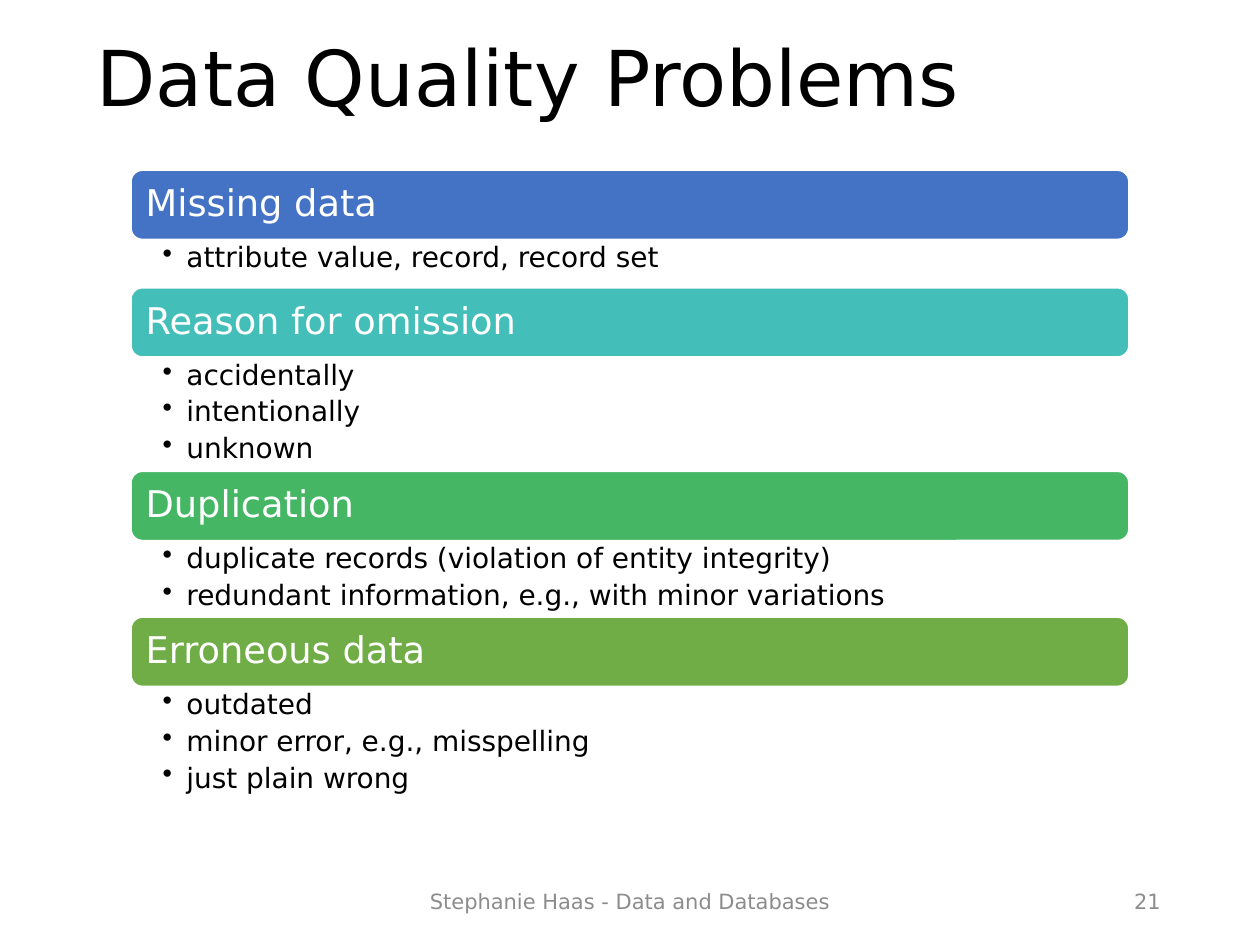
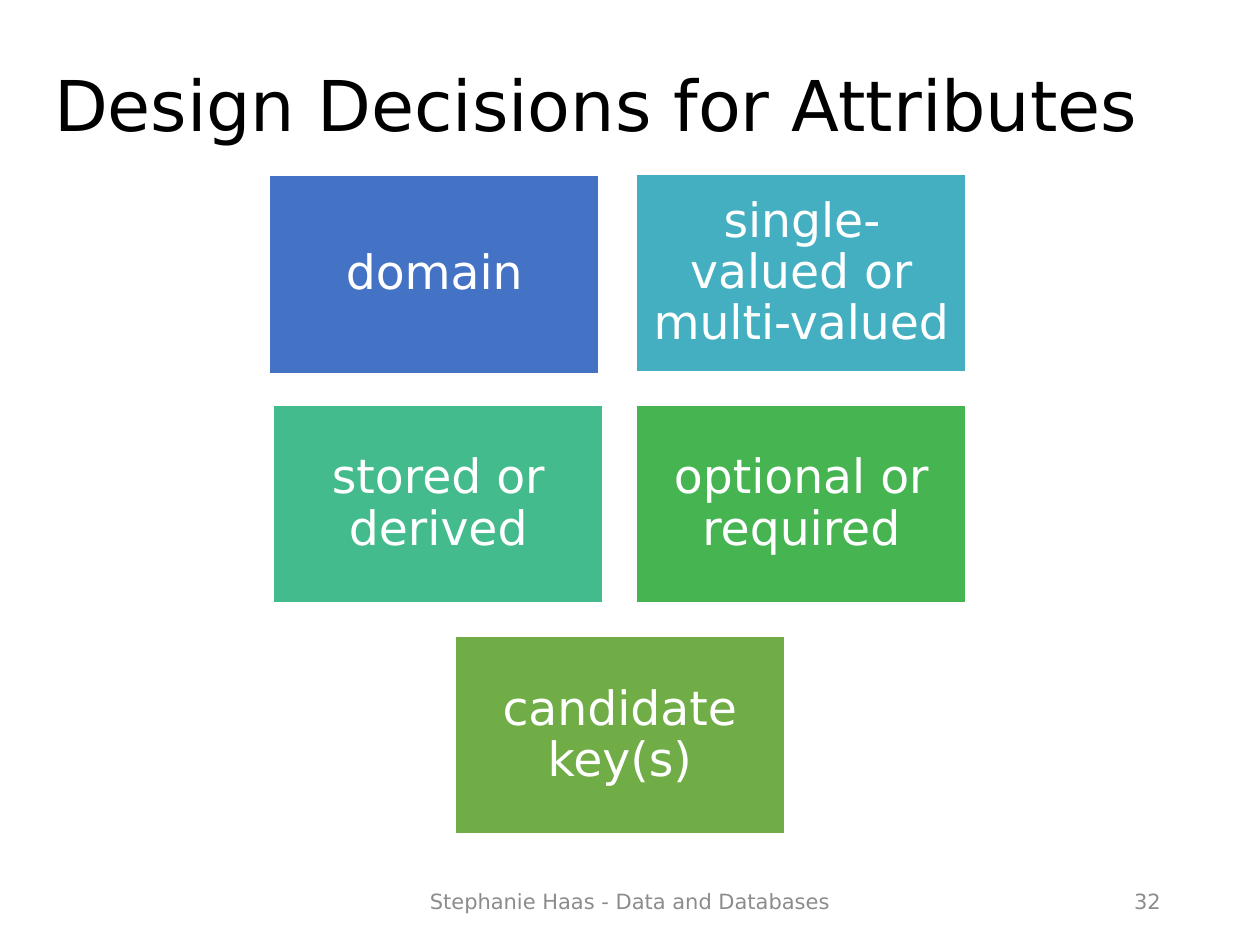
import lxml.etree
import pptx
import pptx.dml.color
import pptx.enum.shapes
import pptx.enum.text
import pptx.oxml.ns
import pptx.util

Cm = pptx.util.Cm
ALIGN = pptx.enum.text.PP_ALIGN
ANCHOR = pptx.enum.text.MSO_ANCHOR
SHAPE = pptx.enum.shapes.MSO_SHAPE

FONT = "DejaVu Sans"
BLACK, WHITE, GREY = "000000", "FFFFFF", "8C8C8C"
BLUE, GREEN = "4472C4", "70AD47"
FOOTER = "Stephanie Haas - Data and Databases"
TEXT_INSETS = (0.25, 0.13, 0.25, 0.13)

PROBLEMS = [
    ("Missing data", BLUE, 0.97, ["attribute value, record, record set"]),
    ("Reason for omission", "43BEB9", 2.3,
     ["accidentally", "intentionally", "unknown"]),
    ("Duplication", "45B664", 1.54,
     ["duplicate records (violation of entity integrity)",
      "redundant information, e.g., with minor variations"]),
    ("Erroneous data", GREEN, 2.3,
     ["outdated", "minor error, e.g., misspelling", "just plain wrong"]),
]

DECISION_ROWS = [
    [("domain", BLUE), ("single-valued or multi-valued", "43AFC0")],
    [("stored or derived", "43BB8D"), ("optional or required", "45B451")],
    [("candidate key(s)", GREEN)],
]
NUDGES = {"domain": (-0.08, 0.03)}


def color(hex_value):
    return pptx.dml.color.RGBColor.from_string(hex_value)


def add_bullet(paragraph, indent):
    properties = paragraph._p.get_or_add_pPr()
    properties.set("marL", str(Cm(indent)))
    properties.set("indent", str(-Cm(indent)))
    bullet = lxml.etree.SubElement(properties, pptx.oxml.ns.qn("a:buChar"))
    bullet.set("char", "•")


def write_text(shape, text, size, hex_value=BLACK, align=ALIGN.LEFT,
               anchor=ANCHOR.MIDDLE, insets=TEXT_INSETS, line_spacing=0.9,
               space_after=0, bullet_indent=None):
    frame = shape.text_frame
    frame.word_wrap = True
    frame.vertical_anchor = anchor
    frame.margin_left, frame.margin_top, frame.margin_right, frame.margin_bottom = map(Cm, insets)
    frame.text = text
    for paragraph in frame.paragraphs:
        paragraph.alignment = align
        paragraph.line_spacing = line_spacing
        paragraph.space_after = pptx.util.Pt(space_after)
        if bullet_indent:
            add_bullet(paragraph, bullet_indent)
        for run in paragraph.runs:
            run.font.name = FONT
            run.font.size = pptx.util.Pt(size)
            run.font.color.rgb = color(hex_value)


def add_text(slide, box, text, **text_format):
    write_text(slide.shapes.add_textbox(*map(Cm, box)), text, **text_format)


def add_filled_shape(slide, kind, box, fill, text, **text_format):
    shape = slide.shapes.add_shape(kind, *map(Cm, box))
    shape.shadow.inherit = False
    shape.fill.solid()
    shape.fill.fore_color.rgb = color(fill)
    shape.line.color.rgb = color(WHITE)
    shape.line.width = pptx.util.Pt(1)
    write_text(shape, text, hex_value=WHITE, **text_format)


def add_base_slide(presentation, title, title_box, title_size, number):
    slide = presentation.slides.add_slide(presentation.slide_layouts[6])
    add_text(slide, title_box, title, size=title_size)
    footer_format = dict(size=12, hex_value=GREY, line_spacing=1.0)
    add_text(slide, (8.41, 17.65, 8.58, 1.02), FOOTER, align=ALIGN.CENTER, **footer_format)
    add_text(slide, (17.93, 17.65, 5.72, 1.02), str(number), align=ALIGN.RIGHT, **footer_format)
    return slide


def add_problem_list(slide, left, top, width):
    bar_height = 1.4
    for heading, fill, list_height, items in PROBLEMS:
        add_filled_shape(slide, SHAPE.ROUNDED_RECTANGLE, (left, top, width, bar_height),
                         fill, heading, size=21, insets=(0.23,) * 4)
        top += bar_height
        add_text(slide, (left, top, width, list_height), "\n".join(items), size=16,
                 anchor=ANCHOR.TOP, insets=(0.64, 0.08, 0.41, 0.08),
                 space_after=3.7, bullet_indent=0.48)
        top += list_height


def add_decision_grid(slide, left, top, width, height):
    tile_width, tile_height = 6.65, 3.99
    column_step = width - tile_width
    row_step = (height - tile_height) / (len(DECISION_ROWS) - 1)
    for row, tiles in enumerate(DECISION_ROWS):
        row_left = left + (2 - len(tiles)) * column_step / 2
        for column, (label, fill) in enumerate(tiles):
            shift_x, shift_y = NUDGES.get(label, (0, 0))
            box = (row_left + column * column_step + shift_x,
                   top + row * row_step + shift_y, tile_width, tile_height)
            add_filled_shape(slide, SHAPE.RECTANGLE, box, fill, label, size=27,
                             align=ALIGN.CENTER, insets=(0.28,) * 4)


def main():
    presentation = pptx.Presentation()
    presentation.slide_width, presentation.slide_height = Cm(25.4), Cm(19.05)
    problems = add_base_slide(presentation, "Data Quality Problems",
                              (1.7, 0.43, 21.9, 2.44), 44, 21)
    add_problem_list(problems, 2.64, 3.43, 20.12)
    decisions = add_base_slide(presentation, "Design Decisions for Attributes",
                               (0.84, 1.02, 22.83, 2.34), 40, 32)
    add_decision_grid(decisions, 5.51, 3.51, 13.97, 13.31)
    presentation.save("out.pptx")


if __name__ == "__main__":
    main()
